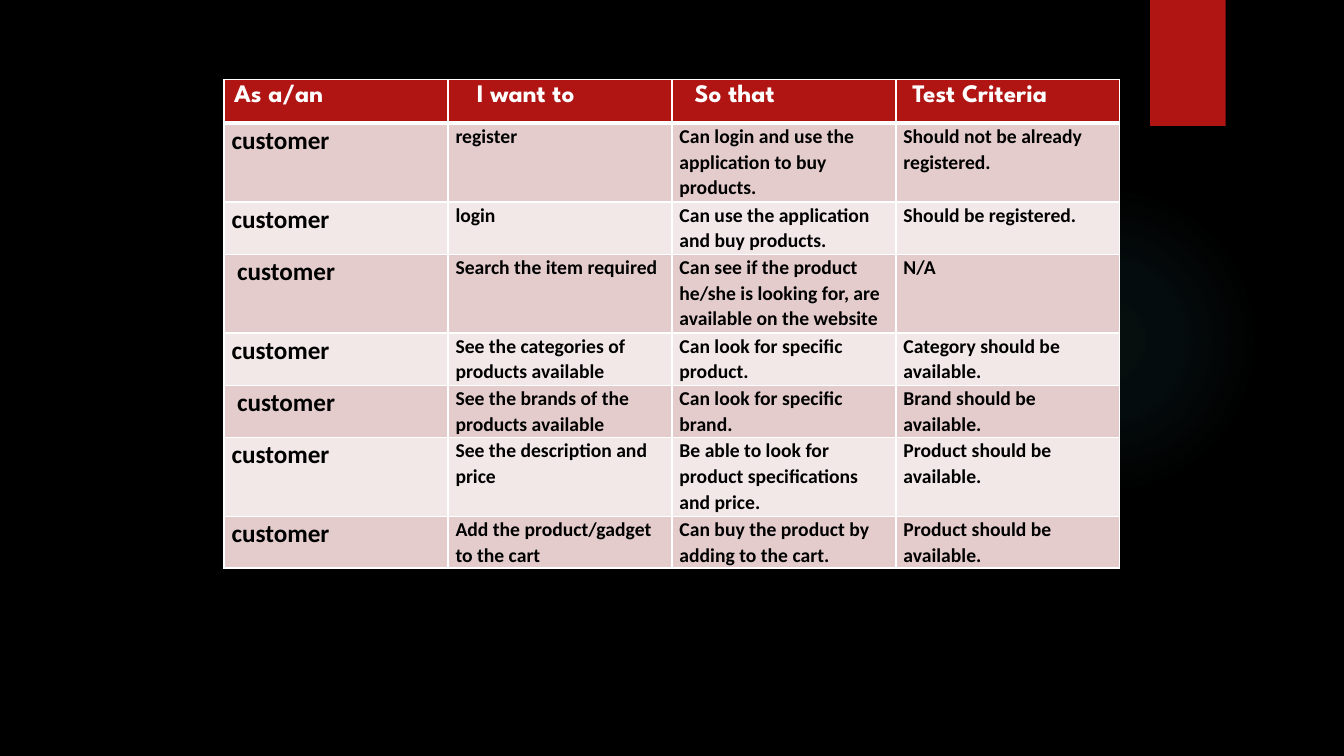
"""Build a slide with a table of customer user stories."""
from dataclasses import dataclass

import lxml.etree
import pptx
import pptx.dml.color
import pptx.enum.shapes
import pptx.oxml
import pptx.oxml.ns
import pptx.util

Pt = pptx.util.Pt
RGBColor = pptx.dml.color.RGBColor
Shapes = pptx.enum.shapes.MSO_SHAPE
qn = pptx.oxml.ns.qn
NAMESPACE = pptx.oxml.ns.nsdecls("a")


@dataclass(frozen=True)
class Theme:
    background: str = "000000"
    accent: str = "B01513"
    glow: str = "50B9C1"
    light: str = "FFFFFF"
    dark: str = "000000"
    bands: tuple = ("E4CCCC", "F2E8E7")
    heading_font: str = "League Spartan"
    body_font: str = "Calibri"
    large: int = 18
    small: int = 14


class StorySlide:
    def __init__(self, slide, theme):
        self.slide = slide
        self.theme = theme
        fill = slide.background.fill
        fill.solid()
        fill.fore_color.rgb = RGBColor.from_string(theme.background)

    def shape(self, kind, left, top, width, height):
        shape = self.slide.shapes.add_shape(kind, Pt(left), Pt(top), Pt(width), Pt(height))
        shape.shadow.inherit = False
        shape.line.fill.background()
        return shape

    def glow(self, left, top, size, stops):
        shape = self.shape(Shapes.OVAL, left, top, size, size)
        shape.fill.background()
        stop_xml = "".join(
            f'<a:gs pos="{position * 1000}"><a:srgbClr val="{self.theme.glow}">'
            f'<a:alpha val="{opacity * 1000}"/></a:srgbClr></a:gs>'
            for position, opacity in stops)
        gradient = pptx.oxml.parse_xml(
            f'<a:gradFill {NAMESPACE}><a:gsLst>{stop_xml}</a:gsLst><a:path path="circle">'
            '<a:fillToRect l="50000" t="50000" r="50000" b="50000"/></a:path></a:gradFill>')
        properties = shape.element.spPr
        properties.replace(properties.find(qn("a:noFill")), gradient)

    def ribbon(self, left, top, width, height):
        shape = self.shape(Shapes.RECTANGLE, left, top, width, height)
        shape.fill.solid()
        shape.fill.fore_color.rgb = RGBColor.from_string(self.theme.accent)
        shape.element.spPr.find(qn("a:effectLst")).append(pptx.oxml.parse_xml(
            f'<a:outerShdw {NAMESPACE} blurRad="{Pt(3)}" dist="{Pt(2)}" dir="5400000">'
            '<a:srgbClr val="000000"><a:alpha val="45000"/></a:srgbClr></a:outerShdw>'))

    def borders(self, cell, top, bottom):
        properties = cell._tc.get_or_add_tcPr()
        widths = {"lnL": 1, "lnR": 1, "lnT": top, "lnB": bottom}
        for index, (side, width) in enumerate(widths.items()):
            properties.insert(index, pptx.oxml.parse_xml(
                f'<a:{side} {NAMESPACE} w="{Pt(width)}"><a:solidFill>'
                f'<a:srgbClr val="{self.theme.light}"/></a:solidFill></a:{side}>'))

    def cell(self, cell, text, fill, font, size, color):
        cell.fill.solid()
        cell.fill.fore_color.rgb = RGBColor.from_string(fill)
        cell.text_frame.text = text
        for run in cell.text_frame.paragraphs[0].runs:
            run.font.name = font
            run.font.size = Pt(size)
            run.font.bold = True
            run.font.color.rgb = RGBColor.from_string(color)

    def header_cell(self, cell, text, indent):
        theme = self.theme
        self.cell(cell, text, theme.accent, theme.heading_font, theme.large, theme.light)
        cell.margin_left = Pt(7.2 + indent)
        self.borders(cell, 1, 3)

    def body_cell(self, cell, text, row, column, indent):
        theme = self.theme
        size = theme.small if column else theme.large
        self.cell(cell, text, theme.bands[(row - 1) % 2], theme.body_font, size, theme.dark)
        cell.margin_left = Pt(5.4 + indent)
        cell.margin_right = Pt(5.4)
        cell.margin_top = cell.margin_bottom = Pt(0)
        paragraph = cell.text_frame.paragraphs[0]
        paragraph.line_spacing = 1.07
        paragraph.space_after = Pt(8)
        self.borders(cell, 3 if row == 1 else 1, 1)

    def table(self, left, top, width, headers, stories, heights):
        frame = self.slide.shapes.add_table(
            len(heights), len(headers), Pt(left), Pt(top), Pt(width), Pt(sum(heights)))
        table = frame.table
        for column in table.columns:
            column.width = Pt(width / len(headers))
        for row, height in zip(table.rows, heights):
            row.height = Pt(height)
        for column, (text, indent) in enumerate(headers):
            self.header_cell(table.cell(0, column), text, indent)
        for row, (indent, *texts) in enumerate(stories, 1):
            for column, text in enumerate(["customer", *texts]):
                self.body_cell(table.cell(row, column), text, row, column,
                               0 if column else indent)


HEADERS = [("As a/an", 0), ("I want to", 13.5), ("So that", 9), ("Test Criteria", 4.5)]
STORIES = [
    (0, "register", "Can login and use the application to buy products.",
     "Should not be already registered."),
    (0, "login", "Can use the application and buy products.", "Should be registered."),
    (4, "Search the item required",
     "Can see if the product he/she is looking for, are available on the website", "N/A"),
    (0, "See the categories of products available", "Can look for specific product.",
     "Category should be available."),
    (4, "See the brands of the products available", "Can look for specific brand.",
     "Brand should be available."),
    (0, "See the description and price",
     "Be able to look for product specifications and price.", "Product should be available."),
    (0, "Add the product/gadget to the cart", "Can buy the product by adding to the cart.",
     "Product should be available."),
]
HEIGHTS = [31.2, 56.2, 37.4, 56.2, 37.4, 37.4, 56.2, 37]


def main():
    presentation = pptx.Presentation()
    presentation.slide_width = Pt(960)
    presentation.slide_height = Pt(540)
    slide = presentation.slides.add_slide(presentation.slide_layouts[6])
    story_slide = StorySlide(slide, Theme())
    story_slide.glow(677.5, 131.8, 221.8, [(0, 7), (36, 6), (69, 0), (100, 0)])
    story_slide.ribbon(821.5, 0, 54, 90)
    story_slide.table(160, 56.9, 640, HEADERS, STORIES, HEIGHTS)
    presentation.save("out.pptx")


if __name__ == "__main__":
    main()
